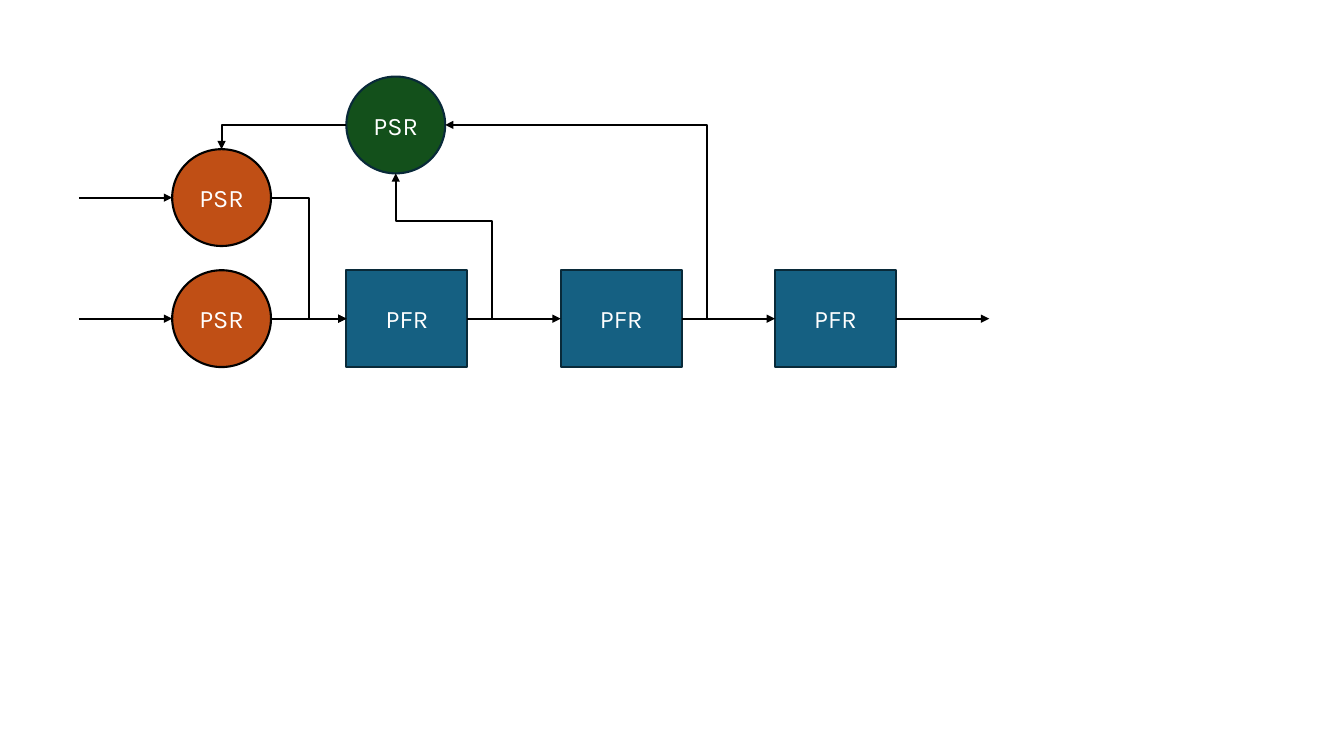
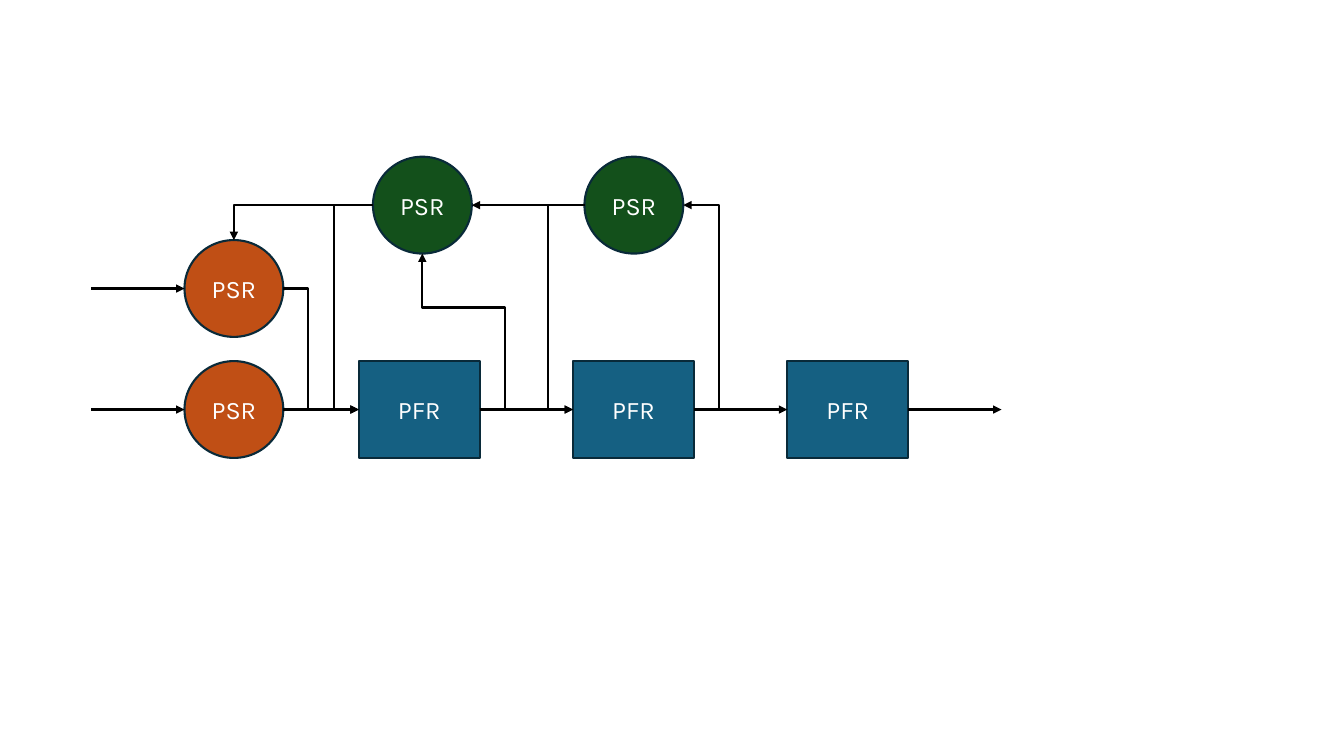
"""Build two flow diagrams of stirred (PSR) and plug-flow (PFR) reactor networks."""
import dataclasses
import typing

import lxml.etree
import pptx
import pptx.dml.color
import pptx.enum.shapes
import pptx.enum.text
import pptx.oxml.ns
import pptx.util

Cm = pptx.util.Cm
Kind = pptx.enum.shapes.MSO_SHAPE
qn = pptx.oxml.ns.qn


@dataclasses.dataclass(frozen=True)
class Theme:
    """Colours, type and line weight shared by both slides."""
    feed: str = "C04F15"
    plug: str = "156082"
    recycle: str = "13501B"
    edge: str = "092A39"
    black: str = "000000"
    label: str = "FFFFFF"
    font: str = "Karla"
    size: int = 18
    weight: float = 1.5


THEME = Theme()
STIRRED_WIDTH, PLUG_WIDTH, HEIGHT = Cm(2.49), Cm(3.05), Cm(2.44)
STREAM = Cm(2.35)
FEED_GAP = Cm(1.9)
FEED_PITCH = Cm(3.05)
STUB = Cm(0.63)
SITES = {"top": (0.5, 0, 0), "left": (0, 0.5, 1),
         "bottom": (0.5, 1, 2), "right": (1, 0.5, 3)}


class Port(typing.NamedTuple):
    """A stream end, optionally on the side of a reactor."""
    x: int
    y: int
    reactor: typing.Any = None
    site: int = 0


def port(reactor, side):
    """Return the middle of one side of a reactor."""
    across, down, site = SITES[side]
    return Port(reactor.left + int(reactor.width * across),
                reactor.top + int(reactor.height * down), reactor, site)


def rgb(value):
    """Turn a hex string into a colour."""
    return pptx.dml.color.RGBColor.from_string(value)


def draw_line(line, colour):
    """Give an outline or a stream its colour and weight."""
    line.color.rgb = rgb(colour)
    line.width = pptx.util.Pt(THEME.weight)


def add_reactor(slide, kind, left, top, fill, edge=THEME.edge):
    """Add a labelled reactor: an ellipse for PSR, a rectangle for PFR."""
    stirred = kind == Kind.OVAL
    width = STIRRED_WIDTH if stirred else PLUG_WIDTH
    reactor = slide.shapes.add_shape(kind, left, top, width, HEIGHT)
    reactor.shadow.inherit = False
    reactor.fill.solid()
    reactor.fill.fore_color.rgb = rgb(fill)
    draw_line(reactor.line, edge)
    reactor.text_frame.vertical_anchor = pptx.enum.text.MSO_ANCHOR.MIDDLE
    paragraph = reactor.text_frame.paragraphs[0]
    paragraph.alignment = pptx.enum.text.PP_ALIGN.CENTER
    run = paragraph.add_run()
    run.text = "PSR" if stirred else "PFR"
    run.font.name = THEME.font
    run.font.size = pptx.util.Pt(THEME.size)
    run.font.color.rgb = rgb(THEME.label)
    return reactor


def add_stream(slide, kind, begin, end):
    """Add a black connector with an arrowhead at its end."""
    stream = slide.shapes.add_connector(kind, begin.x, begin.y, end.x, end.y)
    draw_line(stream.line, THEME.black)
    properties = stream.element.spPr
    lxml.etree.SubElement(properties.find(qn("a:ln")), qn("a:tailEnd"), type="triangle")
    lxml.etree.SubElement(properties, qn("a:effectLst"))
    return stream


def add_straight(slide, begin, end):
    """Add a straight stream, joined to the rectangles it touches."""
    stream = add_stream(slide, pptx.enum.shapes.MSO_CONNECTOR.STRAIGHT, begin, end)
    for stop, join in ((begin, stream.begin_connect), (end, stream.end_connect)):
        if stop.reactor is not None and stop.reactor.auto_shape_type == Kind.RECTANGLE:
            join(stop.reactor, stop.site)


def add_bent(slide, begin, end, turn_x=None, turn_y=None):
    """Add a right-angled stream that turns at the given positions."""
    stream = add_stream(slide, pptx.enum.shapes.MSO_CONNECTOR.ELBOW, begin, end)
    ratios = []
    if turn_x is not None:
        ratios.append((turn_x - begin.x) / (end.x - begin.x))
    if turn_y is not None:
        ratios.append((turn_y - begin.y) / (end.y - begin.y))
    geometry = stream.element.spPr.find(qn("a:prstGeom"))
    geometry.set("prst", f"bentConnector{len(ratios) + 2}")
    guides = geometry.find(qn("a:avLst"))
    for number, ratio in enumerate(ratios, 1):
        lxml.etree.SubElement(guides, qn("a:gd"), name=f"adj{number}",
                              fmla=f"val {round(ratio * 100000)}")


def add_train(slide, left, top, feed_edge, feed_turn):
    """Add two feed PSRs and a row of three PFRs; return upper feed and row."""
    lower, upper = [add_reactor(slide, Kind.OVAL, left, top - row * FEED_PITCH,
                                THEME.feed, feed_edge) for row in range(2)]
    first = left + STIRRED_WIDTH + FEED_GAP
    plugs = [add_reactor(slide, Kind.RECTANGLE, first + i * (PLUG_WIDTH + STREAM),
                         top, THEME.plug) for i in range(3)]
    for feed in (lower, upper):
        entry = port(feed, "left")
        add_straight(slide, Port(entry.x - STREAM, entry.y), entry)
    for source, target in zip([lower] + plugs, plugs):
        add_straight(slide, port(source, "right"), port(target, "left"))
    outlet = port(plugs[-1], "right")
    add_straight(slide, outlet, Port(outlet.x + STREAM, outlet.y))
    add_bent(slide, port(upper, "right"), port(plugs[0], "left"),
             upper.left + STIRRED_WIDTH + feed_turn)
    return upper, plugs


def add_recycle(slide, upper, plugs, first, last, turn_y):
    """Send the first two PFR outlets back through the recycle PSRs to the feed."""
    near, far = port(plugs[0], "right"), port(plugs[1], "right")
    add_bent(slide, far, port(last, "right"), far.x + STUB)
    add_bent(slide, near, port(first, "bottom"), near.x + STUB, turn_y)
    add_bent(slide, port(first, "left"), port(upper, "top"))


def build_single_recycle(slide):
    """Draw the network with one recycle PSR."""
    upper, plugs = add_train(slide, Cm(4.34), Cm(6.81), THEME.black, FEED_GAP // 2)
    recycle = add_reactor(slide, Kind.OVAL, plugs[0].left, Cm(1.93), THEME.recycle)
    add_recycle(slide, upper, plugs, recycle, recycle, Cm(5.57))


def build_double_recycle(slide):
    """Draw the network with two recycle PSRs in series."""
    upper, plugs = add_train(slide, Cm(4.65), Cm(9.1), THEME.edge, STUB)
    recycles = [add_reactor(slide, Kind.OVAL, left, Cm(3.95), THEME.recycle)
                for left in (Cm(9.4), Cm(14.73))]
    first, last = recycles
    add_recycle(slide, upper, plugs, first, last, Cm(7.75))
    add_straight(slide, port(last, "left"), port(first, "right"))
    for recycle, plug in zip(recycles, plugs):
        add_bent(slide, port(recycle, "left"), port(plug, "left"), plug.left - STUB)


def main():
    """Build and save the presentation."""
    deck = pptx.Presentation()
    deck.slide_width, deck.slide_height = Cm(33.87), Cm(19.05)
    for build in (build_single_recycle, build_double_recycle):
        build(deck.slides.add_slide(deck.slide_layouts[6]))
    deck.save("out.pptx")


if __name__ == "__main__":
    main()
